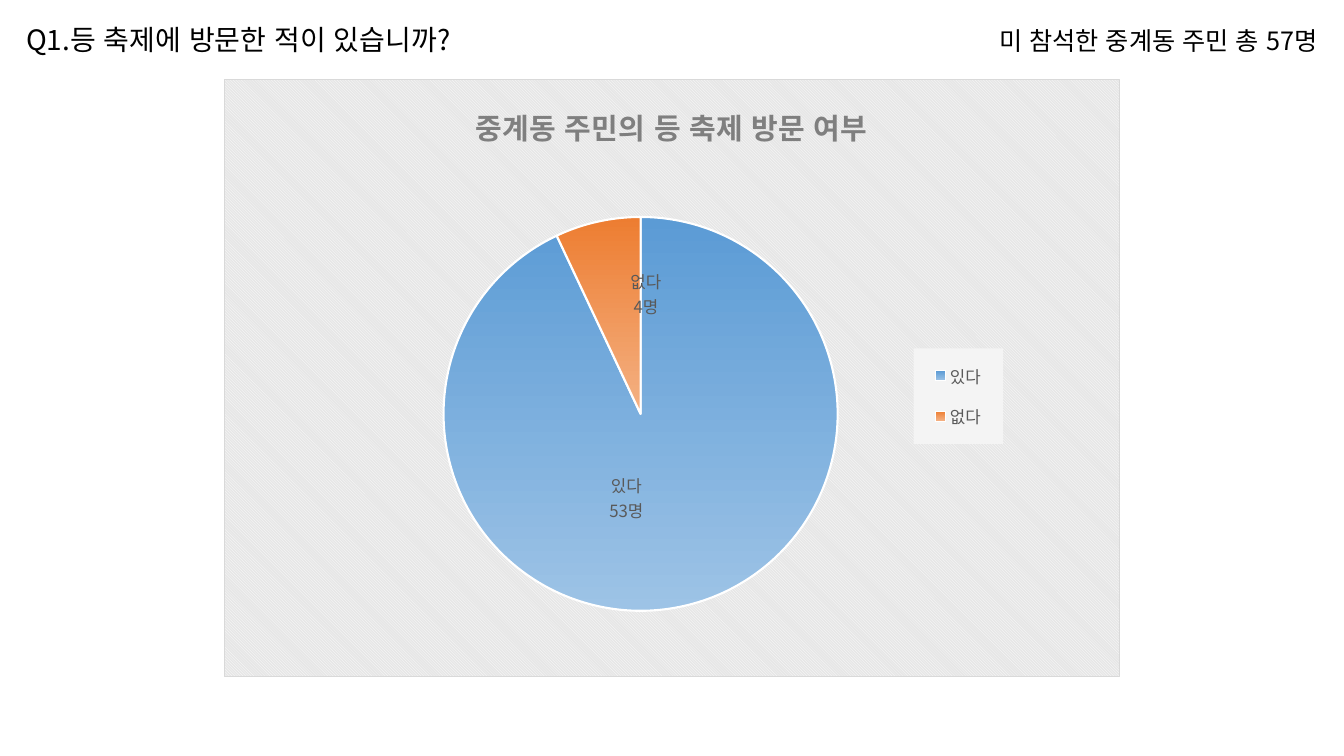
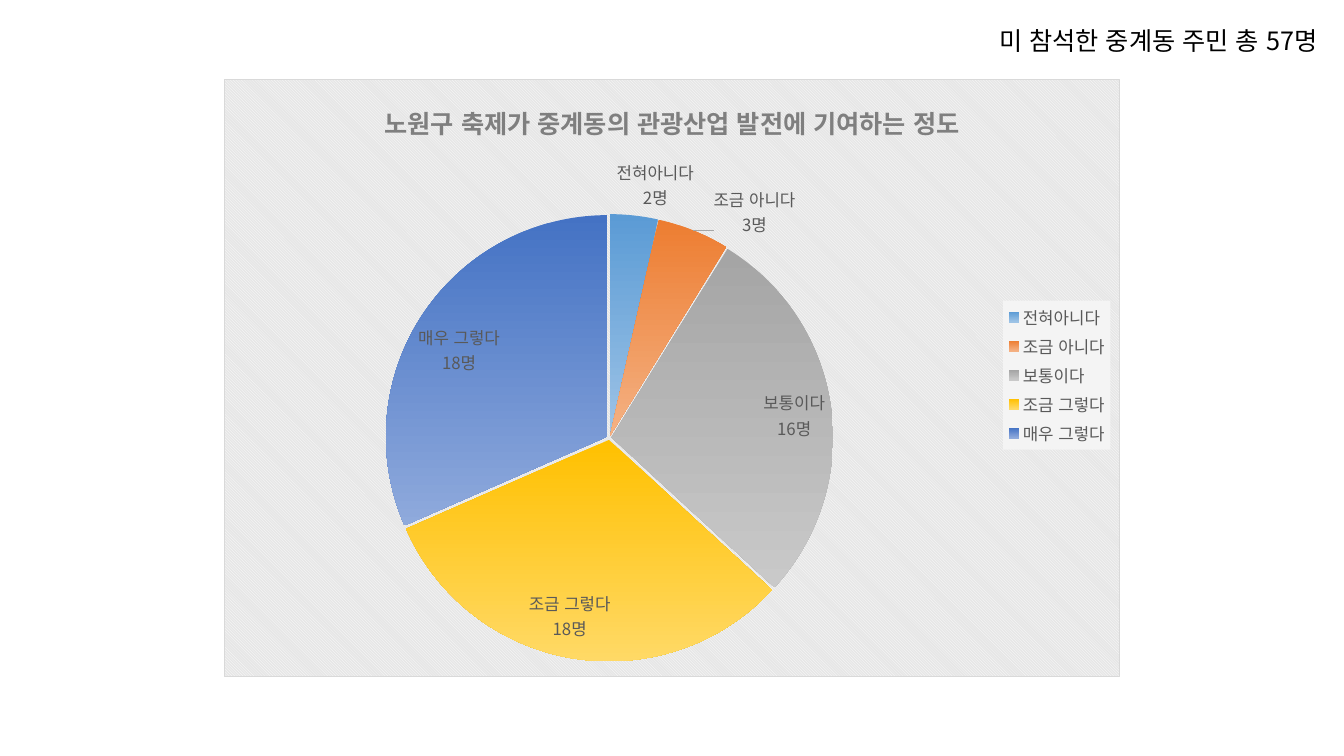
from lxml.etree import SubElement
from pptx import Presentation
from pptx.chart.data import CategoryChartData
from pptx.dml.color import RGBColor
from pptx.enum.chart import XL_CHART_TYPE, XL_LABEL_POSITION, XL_LEGEND_POSITION
from pptx.enum.lang import MSO_LANGUAGE_ID
from pptx.enum.text import MSO_ANCHOR, MSO_AUTO_SIZE, PP_ALIGN
from pptx.oxml import parse_xml
from pptx.oxml.ns import nsdecls, qn
from pptx.util import Pt

FONT = "Noto Sans CJK KR"
COLORS = {
    "text": "000000",
    "label": "595959",
    "chart_title": "7F7F7F",
    "border": "D9D9D9",
    "leader": "A6A6A6",
    "panel": "E6E6E6",
    "legend": "F4F4F4",
    "white": "FFFFFF",
}
SLICE_GRADIENTS = [
    ("5B9BD5", "9DC3E6"),
    ("ED7D31", "F4B183"),
    ("A5A5A5", "C9C9C9"),
    ("FFC000", "FFD966"),
    ("4472C4", "8FAADC"),
]
RESPONDENTS = "미 참석한 중계동 주민 총 57명"


def set_font(font, size, color, bold=False):
    font.name = FONT
    font.size = Pt(size)
    font.bold = bold
    font.language_id = MSO_LANGUAGE_ID.KOREAN
    font.color.rgb = RGBColor.from_string(COLORS[color])
    east_asian = SubElement(font._rPr, qn("a:ea"))
    east_asian.set("typeface", FONT)


def write(text_frame, text, size, color="text", bold=False, align=None):
    text_frame.text = text
    for paragraph in text_frame.paragraphs:
        paragraph.alignment = align
        for run in paragraph.runs:
            set_font(run.font, size, color, bold)


def format_heading(shape, text, box, size):
    shape.left, shape.top, shape.width, shape.height = map(Pt, box)
    text_frame = shape.text_frame
    write(text_frame, text, size, align=PP_ALIGN.LEFT)
    text_frame.word_wrap = False
    text_frame.auto_size = MSO_AUTO_SIZE.NONE
    text_frame.vertical_anchor = MSO_ANCHOR.TOP


def add_respondents(slide):
    box = (706.5, 14.4, 253, 29)
    shape = slide.shapes.add_textbox(*map(Pt, box))
    format_heading(shape, RESPONDENTS, box, 18)


def layout_xml(values, modes="", inner=False):
    target = '<c:layoutTarget val="inner"/>' if inner else ""
    mode_tags = "".join(f'<c:{axis}Mode val="edge"/>' for axis in modes)
    value_tags = "".join(f'<c:{axis} val="{value}"/>' for axis, value in zip("xywh", values))
    return parse_xml(
        f'<c:layout {nsdecls("c")}><c:manualLayout>{target}{mode_tags}{value_tags}'
        "</c:manualLayout></c:layout>"
    )


def set_layout(parent, layout, position):
    for existing in parent.findall(qn("c:layout")):
        parent.remove(existing)
    parent.insert(position, layout)


def format_panel(chart):
    panel = parse_xml(
        f'<c:spPr {nsdecls("c", "a")}><a:pattFill prst="dkDnDiag">'
        f'<a:fgClr><a:srgbClr val="{COLORS["white"]}"/></a:fgClr>'
        f'<a:bgClr><a:srgbClr val="{COLORS["panel"]}"/></a:bgClr></a:pattFill>'
        f'<a:ln w="9525"><a:solidFill><a:srgbClr val="{COLORS["border"]}"/></a:solidFill></a:ln>'
        "</c:spPr>"
    )
    chart.element.find(qn("c:chart")).addnext(panel)


def format_legend(chart, layout):
    chart.has_legend = True
    legend = chart.legend
    legend.position = XL_LEGEND_POSITION.RIGHT
    legend.include_in_layout = False
    set_font(legend.font, 12, "label")
    set_layout(legend._element, layout_xml(layout, "xy"), 1)
    fill = parse_xml(
        f'<c:spPr {nsdecls("c", "a")}><a:solidFill>'
        f'<a:srgbClr val="{COLORS["legend"]}"/></a:solidFill></c:spPr>'
    )
    legend._element.find(qn("c:overlay")).addnext(fill)


def format_slice(point, gradient, outlined):
    fill = point.format.fill
    fill.gradient()
    fill.gradient_angle = 270
    for stop, color in zip(fill.gradient_stops, gradient):
        stop.color.rgb = RGBColor.from_string(color)
    line = point.format.line
    if outlined:
        line.color.rgb = RGBColor.from_string(COLORS["white"])
        line.width = Pt(1.5)
    else:
        line.fill.background()


def label_slice(point, text, position, offset):
    label = point.data_label
    write(label.text_frame, text, 12, "label")
    label.position = position
    set_layout(label._dLbl, layout_xml(offset), 1)


def format_series_labels(series):
    labels = series.data_labels
    labels.show_value = True
    labels.show_category_name = True
    labels.position = XL_LABEL_POSITION.BEST_FIT
    set_font(labels.font, 12, "label")
    leader_lines = parse_xml(
        f'<c:leaderLines {nsdecls("c", "a")}><c:spPr><a:ln w="9525"><a:solidFill>'
        f'<a:srgbClr val="{COLORS["leader"]}"/></a:solidFill></a:ln></c:spPr></c:leaderLines>'
    )
    labels._element.find(qn("c:showLeaderLines")).addnext(leader_lines)


def add_pie(slide, title, title_size, categories, values, counts, plot, legend,
            positions, offsets, explosion=0):
    data = CategoryChartData()
    data.categories = categories
    data.add_series("Series 1", values)
    frame = slide.shapes.add_chart(
        XL_CHART_TYPE.PIE, Pt(160), Pt(56.6), Pt(640), Pt(427), data
    )
    chart = frame.chart
    set_font(chart.font, 10, "text")
    chart.has_title = True
    write(chart.chart_title.text_frame, title, title_size, "chart_title", bold=True)
    chart.chart_title.include_in_layout = False
    format_panel(chart)
    format_legend(chart, legend)
    plot_area = chart.element.find(".//" + qn("c:plotArea"))
    set_layout(plot_area, layout_xml(plot, "xy", inner=True), 0)
    chart.plots[0].vary_by_categories = True
    series = chart.plots[0].series[0]
    if explosion:
        tag = parse_xml(f'<c:explosion {nsdecls("c")} val="{explosion}"/>')
        series._element.find(qn("c:tx")).addnext(tag)
    rows = zip(categories, counts, SLICE_GRADIENTS, positions, offsets)
    for index, (category, count, gradient, position, offset) in enumerate(rows):
        point = series.points[index]
        format_slice(point, gradient, outlined=not explosion)
        label_slice(point, f"{category}\n{count}명", position, offset)
    return series


def add_visit_slide(presentation):
    slide = presentation.slides.add_slide(presentation.slide_layouts[5])
    add_pie(
        slide, "중계동 주민의 등 축제 방문 여부", 20.7,
        ["있다", "없다"], [93, 7], [53, 4],
        plot=(0.24, 0.23, 0.45, 0.66), legend=(0.77, 0.45, 0.1, 0.16),
        positions=[XL_LABEL_POSITION.CENTER] * 2,
        offsets=[(-0.04, -0.02), (0.03, -0.04)],
    )
    format_heading(
        slide.shapes.title, "Q1.등 축제에 방문한 적이 있습니까?", (11.5, 12.2, 346, 32), 20
    )
    add_respondents(slide)


def add_tourism_slide(presentation):
    slide = presentation.slides.add_slide(presentation.slide_layouts[6])
    counts = [2, 3, 16, 18, 18]
    series = add_pie(
        slide, "노원구 축제가 중계동의 관광산업 발전에 기여하는 정도", 18,
        ["전혀아니다", "조금 아니다", "보통이다", "조금 그렇다", "매우 그렇다"],
        counts, counts,
        plot=(0.18, 0.22, 0.5, 0.76), legend=(0.87, 0.37, 0.12, 0.25),
        positions=[XL_LABEL_POSITION.OUTSIDE_END] * 2 + [XL_LABEL_POSITION.INSIDE_END] * 3,
        offsets=[(-0.02, 0), (0.02, 0.02), (0, -0.03), (-0.05, -0.02), (-0.01, 0.01)],
        explosion=1,
    )
    format_series_labels(series)
    add_respondents(slide)


def main():
    presentation = Presentation()
    presentation.slide_width = Pt(960)
    presentation.slide_height = Pt(540)
    add_visit_slide(presentation)
    add_tourism_slide(presentation)
    presentation.save("out.pptx")


if __name__ == "__main__":
    main()
